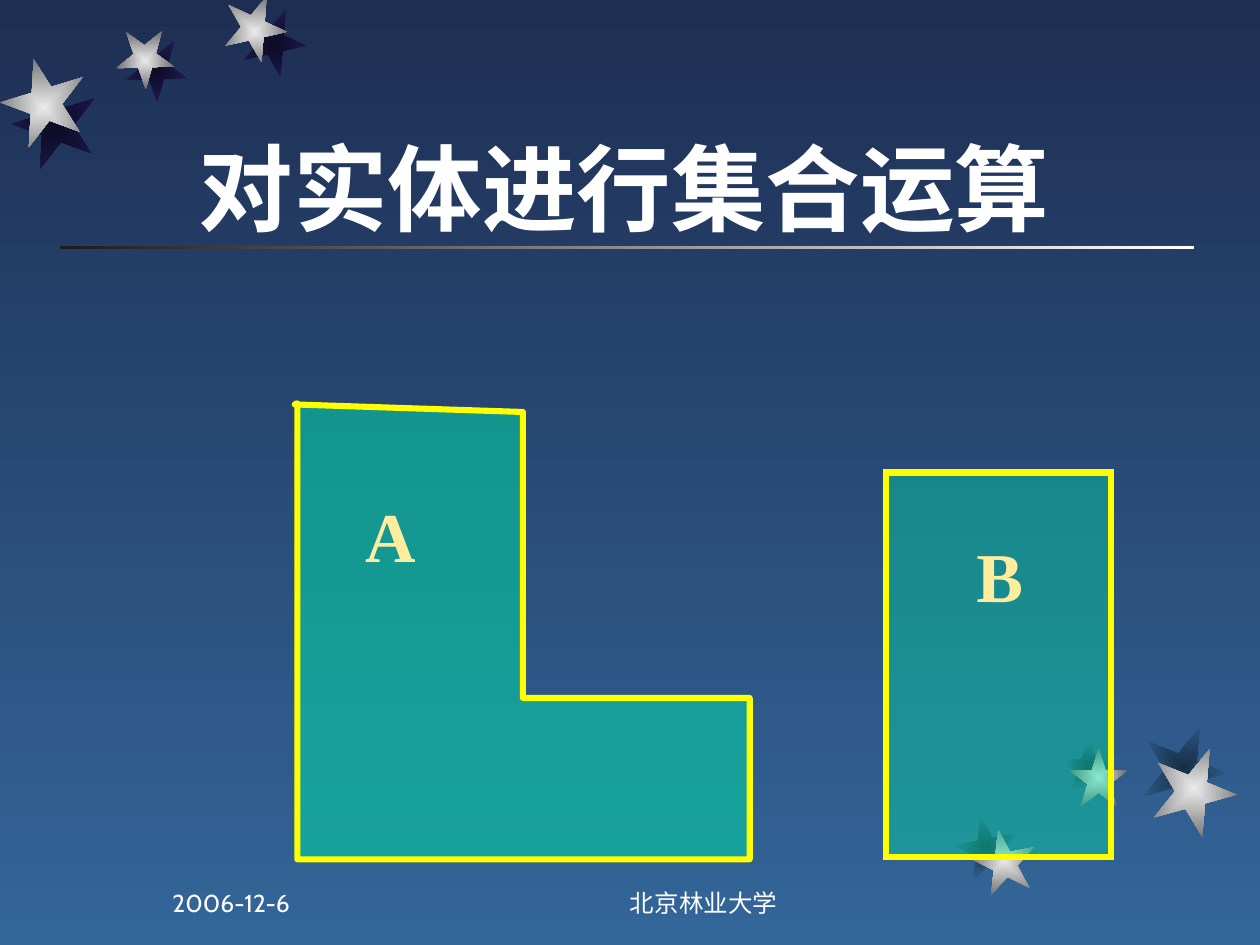
from lxml import etree
from pptx import Presentation
from pptx import util as u
from pptx.dml.color import RGBColor
from pptx.enum import shapes, text
from pptx.oxml import ns

SILVER = ("EAEAEA", "6B6B6B")
NIGHT_SHADE = ("0D0B26", "1E1A53")
BLUE_SHADE = ("172F46", "336699")

# left, top, size, rotation
UPPER_SHADOWS = [(1.92, 0.11, 0.5, 167.3), (1, 0.33, 0.48, 178.3), (0.1, 0.69, 0.67, 200.3)]
UPPER_STARS = [(1.77, 0, 0.5, 167.3), (0.92, 0.25, 0.46, 178.3), (0.01, 0.52, 0.67, 200.3)]
LOWER_SHADOWS = [(7.58, 6.47, 0.5, 349), (8.41, 5.85, 0.46, 0), (9.06, 5.75, 0.67, 22)]
LOWER_STARS = [(7.72, 6.58, 0.5, 349), (8.49, 5.94, 0.46, 0), (9.14, 5.92, 0.67, 22)]

SOLID_A = [(2.36, 3.2), (2.36, 6.82), (5.95, 6.82), (5.95, 5.54),
           (4.15, 5.54), (4.15, 3.27), (2.34, 3.21)]


def color(hex_code):
    return RGBColor.from_string(hex_code)


def inches(*lengths):
    return [u.Inches(length) for length in lengths]


def fill_gradient(fill, colors, angle):
    """Two-stop gradient; the angle runs counterclockwise."""
    fill.gradient()
    fill.gradient_angle = angle
    for stop, hex_code in zip(fill.gradient_stops, colors):
        stop.color.rgb = color(hex_code)


def add_shape(page, kind, *place):
    shape = page.shapes.add_shape(kind, *inches(*place))
    shape.shadow.inherit = False
    shape.line.fill.background()
    return shape


def add_star(page, left, top, size, rotation, colors):
    star = add_shape(page, shapes.MSO_SHAPE.STAR_5_POINT, left, top, size, size)
    star.rotation = rotation
    fill_gradient(star.fill, colors, 0)
    gradient = star.element.spPr.find(ns.qn("a:gradFill"))
    gradient.remove(gradient.find(ns.qn("a:lin")))
    burst = etree.SubElement(gradient, ns.qn("a:path"), path="rect")
    etree.SubElement(burst, ns.qn("a:fillToRect"), l="50000", t="50000", r="50000", b="50000")


def style_solid(shape, opacity, join):
    """Translucent green body with a yellow outline."""
    shape.shadow.inherit = False
    shape.fill.solid()
    shape.fill.fore_color.rgb = color("00E4A8")
    tint = shape.element.spPr.find(ns.qn("a:solidFill"))[0]
    etree.SubElement(tint, ns.qn("a:alpha"), val=str(opacity * 1000))
    shape.line.color.rgb = color("FFFF00")
    shape.line.width = u.Pt(3.5)
    etree.SubElement(shape.element.spPr.find(ns.qn("a:ln")), ns.qn(join))


def add_outline(page, points):
    start, *rest = [inches(*point) for point in points]
    builder = page.shapes.build_freeform(*start)
    builder.add_line_segments(rest, close=True)
    return builder.convert_to_shape()


def add_text(page, words, place, size, font="Cabin", hex_code="FFFFFF", bold=False,
             wrap=True, anchor=text.MSO_ANCHOR.BOTTOM, align=text.PP_ALIGN.LEFT):
    box = page.shapes.add_textbox(*inches(*place))
    frame = box.text_frame
    frame.word_wrap = wrap
    frame.vertical_anchor = anchor
    para = frame.paragraphs[0]
    para.alignment = align
    span = para.add_run()
    span.text = words
    span.font.name = font
    span.font.size = u.Pt(size)
    span.font.bold = bold
    span.font.color.rgb = color(hex_code)


def add_label(page, letter, *place):
    add_text(page, letter, place, 40, font="Times New Roman", hex_code="FFED9F",
             bold=True, wrap=False, anchor=text.MSO_ANCHOR.TOP)


def main():
    deck = Presentation()
    deck.slide_width, deck.slide_height = inches(10, 7.5)
    page = deck.slides.add_slide(deck.slide_layouts[6])
    fill_gradient(page.background.fill, ("1E2E53", "336699"), 270)

    rule = add_shape(page, shapes.MSO_SHAPE.RECTANGLE, 0.48, 1.95, 9, 0.03)
    fill_gradient(rule.fill, ("FFFFFF", "1C1C1C"), 180)
    for stars, colors in ((UPPER_SHADOWS, NIGHT_SHADE), (UPPER_STARS, SILVER),
                          (LOWER_SHADOWS, BLUE_SHADE), (LOWER_STARS, SILVER)):
        for star in stars:
            add_star(page, *star, colors)

    add_text(page, "对实体进行集合运算", (1.48, 0.38, 7.5, 1.6), 54, bold=True)

    style_solid(add_outline(page, SOLID_A), 50, "a:round")
    add_label(page, "A", 2.8, 3.86, 0.6, 0.77)
    solid_b = add_shape(page, shapes.MSO_SHAPE.RECTANGLE, 7.03, 3.75, 1.79, 3.05)
    style_solid(solid_b, 40, "a:miter")
    add_label(page, "B", 7.65, 4.18, 0.57, 0.77)

    add_text(page, "北京林业大学", (4, 6.83, 3.17, 0.5), 14, align=text.PP_ALIGN.CENTER)
    add_text(page, "2006-12-6", (1.27, 6.83, 2.08, 0.5), 14)
    deck.save("out.pptx")


if __name__ == "__main__":
    main()
